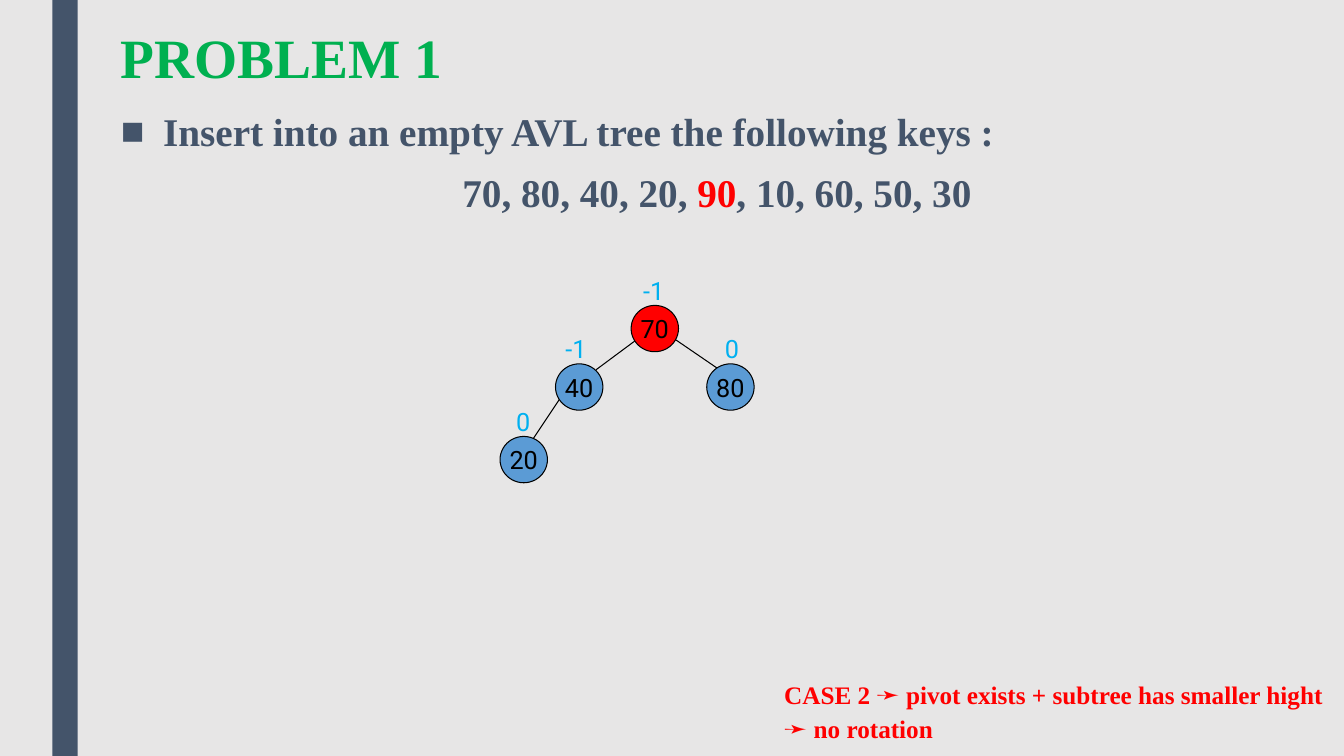
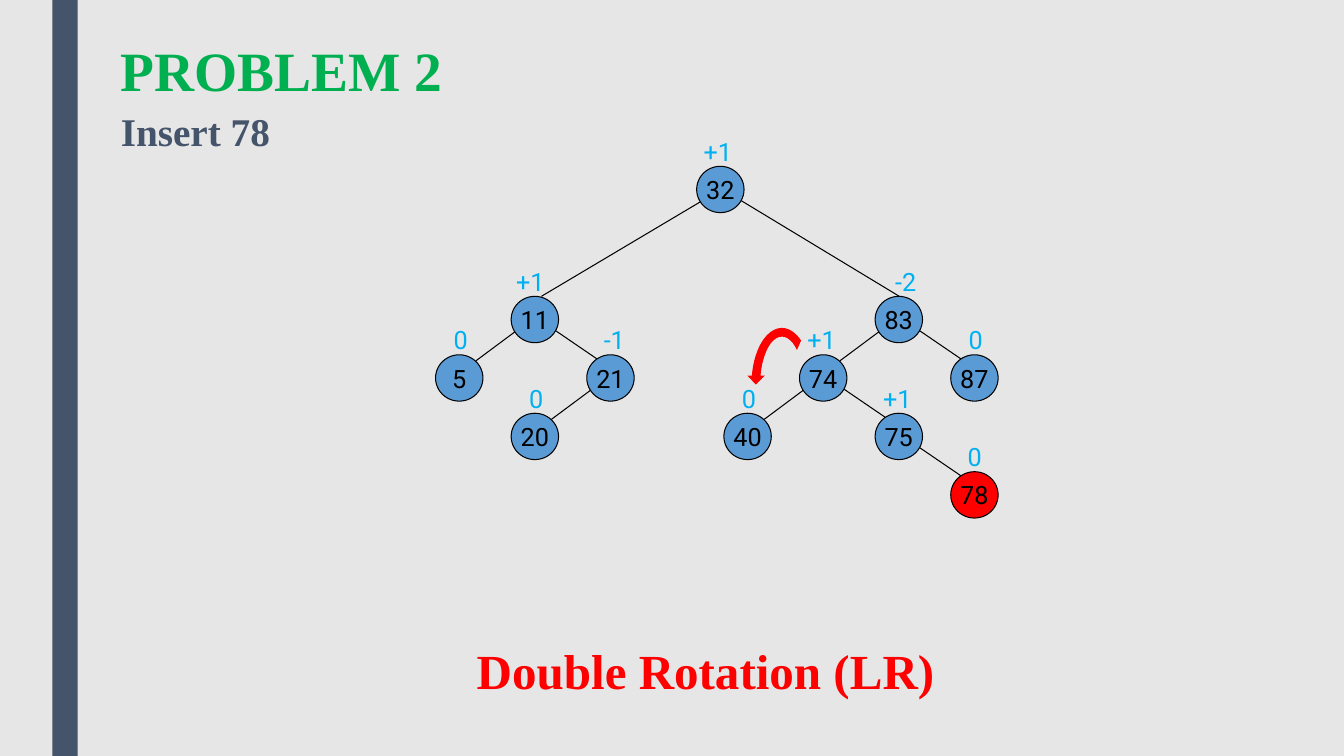
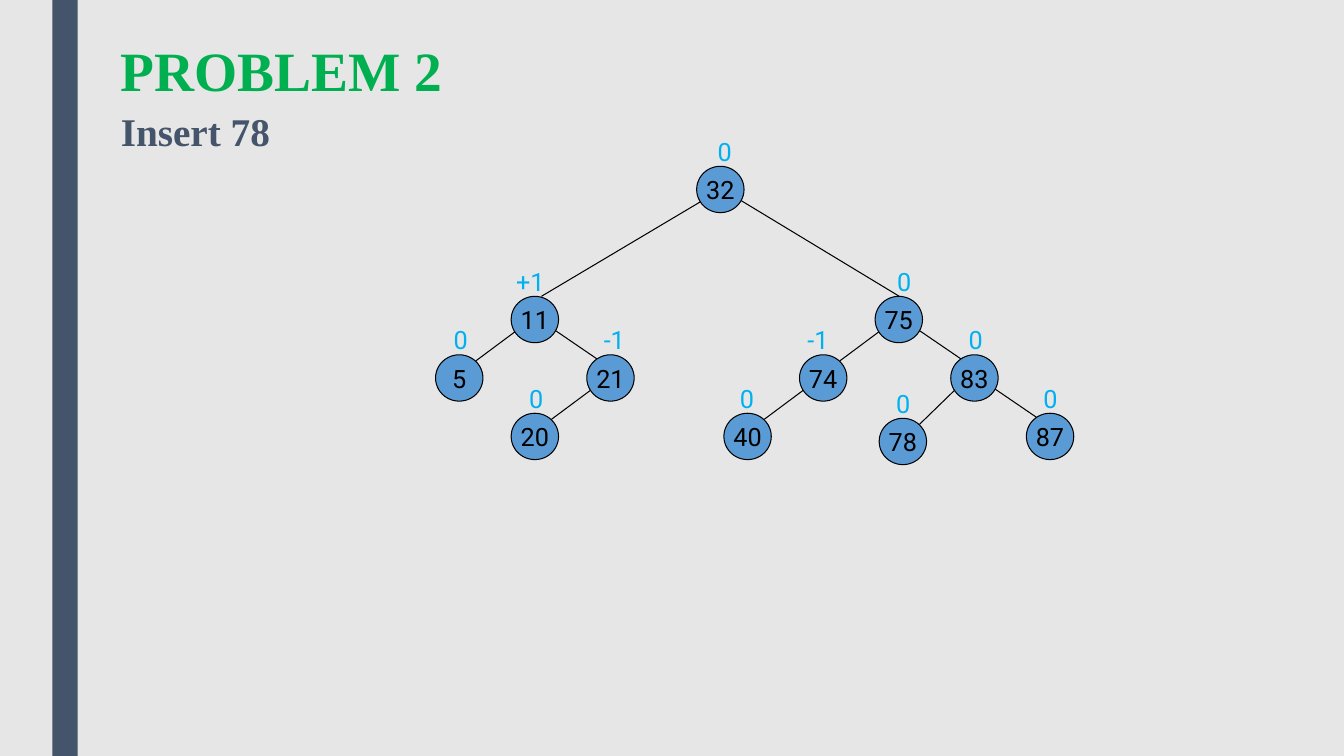
from dataclasses import dataclass
from typing import Optional

from lxml import etree
from pptx import Presentation, util as u
from pptx.dml.color import RGBColor
from pptx.enum import shapes, text
from pptx.oxml.ns import qn


@dataclass(frozen=True)
class Theme:
    paper: str = "E7E6E6"
    slate: str = "44546A"
    green: str = "00B050"
    red: str = "FF0000"
    node: str = "5B9BD5"
    balance: str = "00B0F0"
    ink: str = "000000"
    serif: str = "Times New Roman"
    sans: str = "Roboto"
    title_size: float = 39.6
    body_size: float = 28
    verdict_size: float = 35
    small_size: float = 18


THEME = Theme()
NODE_WIDTH, NODE_HEIGHT = 0.47, 0.46
BALANCE_RISE = 0.35


@dataclass
class Node:
    """A tree node; step is its distance from the parent, entry the edge's end in it."""
    key: str
    balance: str
    label_shift: float
    left: Optional["Node"] = None
    right: Optional["Node"] = None
    step: tuple = (0.75, 0.58)
    entry: Optional[tuple] = None
    fill: str = THEME.node


def inches(*lengths):
    return [u.Inches(length) for length in lengths]


def color(value):
    return RGBColor.from_string(value)


def style_paragraph(para, size, ink, font=THEME.serif, bold=True):
    for span in para.runs:
        span.font.name = font
        span.font.size = u.Pt(size)
        span.font.bold = bold
        span.font.color.rgb = color(ink)


def add_text(page, box, lines, size, ink, font=THEME.serif, bold=True):
    frame = page.shapes.add_textbox(*inches(*box)).text_frame
    frame.word_wrap = True
    frame.text = "\n".join(lines)
    for para in frame.paragraphs:
        style_paragraph(para, size, ink, font, bold)
    return frame


def add_bullet(para, indent):
    properties = para._p.get_or_add_pPr()
    properties.set("marL", str(u.Inches(indent)))
    properties.set("indent", str(-u.Inches(indent)))
    etree.SubElement(properties, qn("a:buFont")).set("typeface", THEME.serif)
    etree.SubElement(properties, qn("a:buChar")).set("char", "■")


def add_filled_shape(page, kind, box, fill):
    shape = page.shapes.add_shape(kind, *inches(*box))
    shape.shadow.inherit = False
    shape.fill.solid()
    shape.fill.fore_color.rgb = color(fill)
    shape.line.fill.background()
    return shape


def add_page(deck, title, title_top):
    page = deck.slides.add_slide(deck.slide_layouts[6])
    page.background.fill.solid()
    page.background.fill.fore_color.rgb = color(THEME.paper)
    add_filled_shape(page, shapes.MSO_SHAPE.RECTANGLE, (0.52, 0, 0.25, 7.5), THEME.slate)
    frame = add_text(page, (1.1, title_top, 10.5, 0.71), [title], THEME.title_size, THEME.green)
    frame.vertical_anchor = text.MSO_ANCHOR.MIDDLE
    frame.paragraphs[0].line_spacing = 0.89
    return page


def add_body(page, lines):
    frame = add_text(page, (1.1, 1.05, 12.02, 5.78), lines, THEME.body_size, THEME.slate)
    for index, para in enumerate(frame.paragraphs):
        para.line_spacing = 0.94
        para.space_after = u.Pt(2)
        if index:
            para.space_before = u.Pt(10)
    return frame


def add_keys(para, before, current, after):
    """Write the key sequence with the key being inserted in red."""
    for part in (before, current, after):
        para.add_run().text = part
    style_paragraph(para, THEME.body_size, THEME.slate)
    para.runs[1].font.color.rgb = color(THEME.red)
    para.alignment = text.PP_ALIGN.CENTER


def add_edge(page, start, end):
    edge = page.shapes.add_connector(shapes.MSO_CONNECTOR.STRAIGHT, *inches(*start, *end))
    edge.line.color.rgb = color(THEME.ink)
    edge.line.width = u.Pt(0.75)
    etree.SubElement(edge._element.spPr, qn("a:effectLst"))


def add_node(page, node, x, y):
    circle = add_filled_shape(page, shapes.MSO_SHAPE.OVAL, (x, y, NODE_WIDTH, NODE_HEIGHT), node.fill)
    circle.line.color.rgb = color(THEME.ink)
    circle.line.width = u.Pt(0.75)
    frame = circle.text_frame
    frame.word_wrap = False
    frame.vertical_anchor = text.MSO_ANCHOR.MIDDLE
    frame.text = node.key
    frame.paragraphs[0].alignment = text.PP_ALIGN.CENTER
    style_paragraph(frame.paragraphs[0], THEME.small_size, THEME.ink, THEME.sans, False)
    add_text(page, (x + node.label_shift, y - BALANCE_RISE, 0.6, 0.4), [node.balance],
             THEME.small_size, THEME.balance, THEME.sans, False)


def add_tree(page, node, x, y):
    """Draw a tree with its root's top left corner at x, y; edges lie under the nodes."""
    branches = ((node.left, -1, (0.04, 0.35), (0.4, 0.06)),
                (node.right, 1, (0.44, 0.34), (0.1, 0.04)))
    for child, side, leave, usual_entry in branches:
        if child:
            child_x, child_y = x + side * child.step[0], y + child.step[1]
            entry = child.entry or usual_entry
            add_edge(page, (x + leave[0], y + leave[1]),
                     (child_x + entry[0], child_y + entry[1]))
            add_tree(page, child, child_x, child_y)
    add_node(page, node, x, y)


def add_rotation_arrow(page, box):
    arrow = add_filled_shape(page, shapes.MSO_SHAPE.CIRCULAR_ARROW, box, THEME.red)
    for index, value in enumerate((0.125, 11.42, 204.58, 147.85, 0.125)):
        arrow.adjustments[index] = value
    arrow._element.spPr.xfrm.set("flipH", "1")


def build_first_problem(deck):
    page = add_page(deck, "PROBLEM 1", 0.25)
    body = add_body(page, ["Insert into an empty AVL tree the following keys :", ""])
    add_bullet(body.paragraphs[0], 0.42)
    add_keys(body.paragraphs[1], "70, 80, 40, 20, ", "90", ", 10, 60, 50, 30")
    tree = Node("70", "-1", 0.02, fill=THEME.red,
                left=Node("40", "-1", 0,
                          left=Node("20", "0", 0.06, step=(0.55, 0.72), entry=(0.33, 0.02))),
                right=Node("80", "0", 0.08))
    add_tree(page, tree, 6.26, 3.03)
    note = add_text(page, (7.68, 6.69, 5.6, 0.74),
                    ["CASE 2 ➛ pivot exists + subtree has smaller hight", "➛ no rotation"],
                    THEME.small_size, THEME.red)
    note.paragraphs[1].space_before = u.Pt(3)


def build_second_problem(deck, root_balance, root_shift, right_branch):
    """Add a page whose tree keeps its left branch and takes the given right one."""
    page = add_page(deck, "PROBLEM 2", 0.38)
    add_body(page, ["Insert 78"])
    left_branch = Node("11", "+1", -0.05, step=(1.84, 1.29), entry=(0.3, 0),
                       left=Node("5", "0", 0.08),
                       right=Node("21", "-1", 0.07, left=Node("20", "0", 0.08)))
    right_branch.step, right_branch.entry = (1.77, 1.29), (0.24, 0)
    add_tree(page, Node("32", root_balance, root_shift, left_branch, right_branch), 6.91, 1.65)
    return page


def build_before_rotation(deck):
    branch = Node("83", "-2", 0.1,
                  left=Node("74", "+1", -0.02,
                            left=Node("40", "0", 0.08),
                            right=Node("75", "+1", -0.02,
                                       right=Node("78", "0", 0.07, fill=THEME.red))),
                  right=Node("87", "0", 0.08))
    page = build_second_problem(deck, "+1", -0.03, branch)
    add_rotation_arrow(page, (7.41, 3.21, 0.69, 1.21))
    add_text(page, (4.63, 6.3, 4.78, 0.69), ["Double Rotation (LR)"],
             THEME.verdict_size, THEME.red)


def build_after_rotation(deck):
    branch = Node("75", "0", 0.12,
                  left=Node("74", "-1", -0.02, left=Node("40", "0", 0.06)),
                  right=Node("83", "0", 0.08,
                             left=Node("78", "0", 0.07, step=(0.71, 0.63)),
                             right=Node("87", "0", 0.07)))
    build_second_problem(deck, "0", 0.11, branch)


def main():
    deck = Presentation()
    deck.slide_width, deck.slide_height = inches(13.33, 7.5)
    build_first_problem(deck)
    build_before_rotation(deck)
    build_after_rotation(deck)
    deck.save("out.pptx")


if __name__ == "__main__":
    main()
